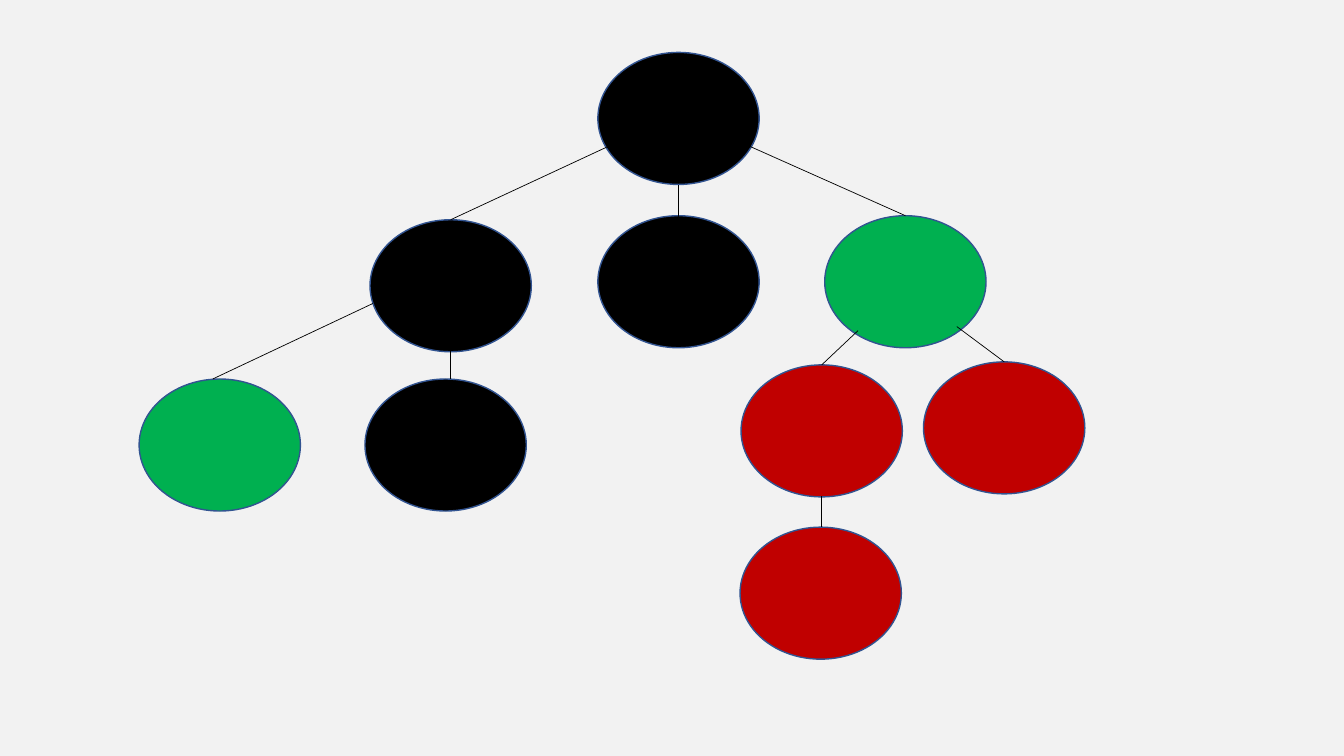
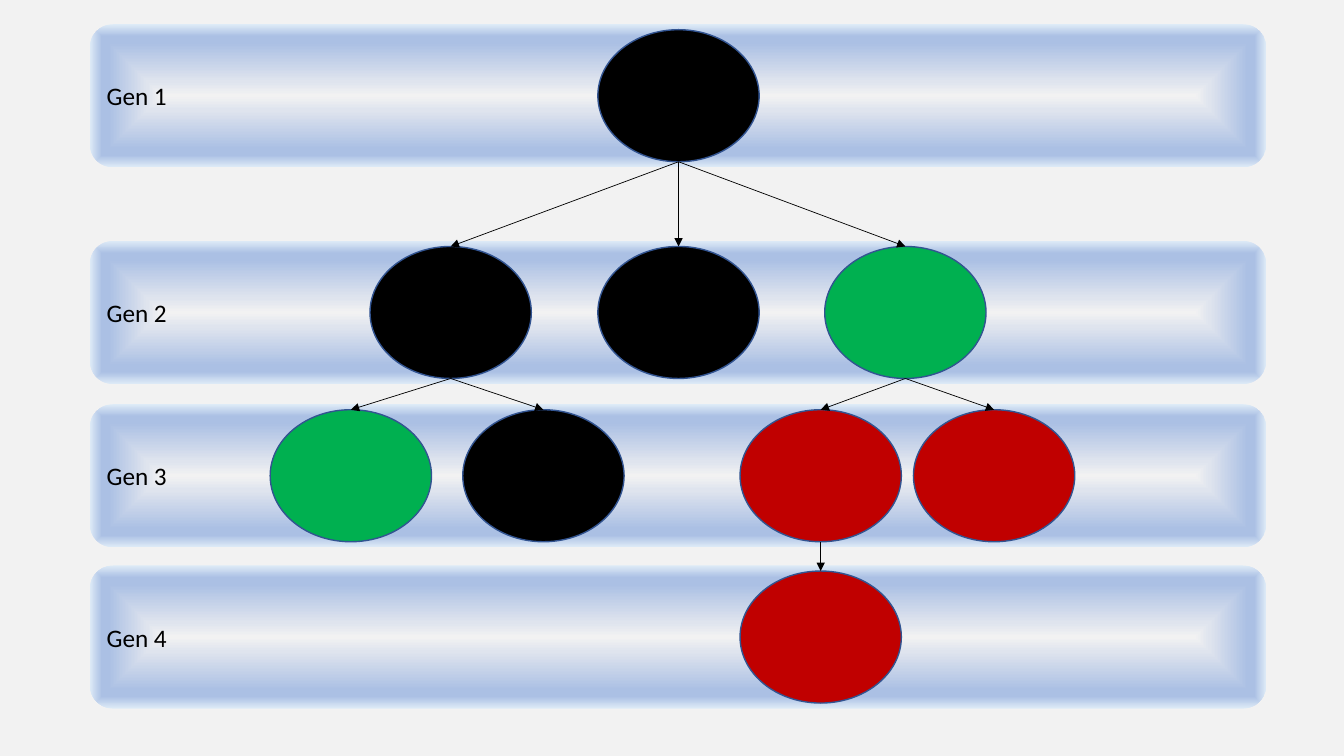
from lxml.etree import SubElement
from pptx import Presentation
from pptx.dml.color import RGBColor
from pptx.enum.shapes import MSO_CONNECTOR, MSO_SHAPE
from pptx.enum.text import MSO_ANCHOR, PP_ALIGN
from pptx.oxml.ns import qn
from pptx.util import Inches, Pt

OVAL = MSO_SHAPE.OVAL
ROUND = MSO_SHAPE.ROUNDED_RECTANGLE
LINE = MSO_CONNECTOR.STRAIGHT
LEFT = PP_ALIGN.LEFT
MIDDLE = MSO_ANCHOR.MIDDLE

BLACK, GREEN, RED = "000000", "00B050", "C00000"
EDGE, PAPER = "325491", "F2F2F2"
STOPS = [(0, PAPER), (20, "DFE4EE"), (74, "ABC0E4"), (83, "ABC0E4"), (100, "DEEBF7")]
WIDE, HIGH = 1.6, 1.31
BLANK = 6


def color(code):
    return RGBColor.from_string(code)


def write(frame, text, size=18, font="Calibri", ink=BLACK, align=LEFT, anchor=MIDDLE):
    frame.word_wrap = True
    frame.vertical_anchor = anchor
    para = frame.paragraphs[0]
    para.alignment = align
    run = para.add_run()
    run.text = text
    run.font.size = Pt(size)
    run.font.name = font
    run.font.color.rgb = color(ink)


class Deck:
    """Hold the shared style and the current slide."""

    def __init__(self):
        self.show = Presentation()
        self.show.slide_width = Inches(13.33)
        self.show.slide_height = Inches(7.5)
        fill = self.show.slide_master.background.fill
        fill.solid()
        fill.fore_color.rgb = color(PAPER)

    def start(self):
        self.slide = self.show.slides.add_slide(self.show.slide_layouts[BLANK])

    def shape(self, kind, left, top, width, height, fill):
        item = self.slide.shapes.add_shape(
            kind, Inches(left), Inches(top), Inches(width), Inches(height))
        item.shadow.inherit = False
        item.fill.solid()
        item.fill.fore_color.rgb = color(fill)
        return item

    def node(self, left, top, fill):
        item = self.shape(OVAL, left, top, WIDE, HIGH, fill)
        item.line.color.rgb = color(EDGE)
        item.line.width = Pt(1)

    def band(self, top, text):
        item = self.shape(ROUND, 0.89, top, 11.67, 1.42, PAPER)
        item.line.fill.background()
        self.glow(item)
        write(item.text_frame, text)

    def glow(self, item):
        props = item.element.spPr
        grad = SubElement(props, qn("a:gradFill"), rotWithShape="1")
        stops = SubElement(grad, qn("a:gsLst"))
        for place, code in STOPS:
            stop = SubElement(stops, qn("a:gs"), pos=str(place * 1000))
            SubElement(stop, qn("a:srgbClr"), val=code)
        way = SubElement(grad, qn("a:path"))
        way.set("path", "shape")
        SubElement(way, qn("a:fillToRect"), {side: "50000" for side in "ltrb"})
        props.replace(props.find(qn("a:solidFill")), grad)

    def link(self, start, end, arrow=False):
        line = self.slide.shapes.add_connector(
            LINE, *[Inches(value) for value in (*start, *end)])
        line.line.color.rgb = color(BLACK)
        line.line.width = Pt(0.5)
        if arrow:
            SubElement(line.line._get_or_add_ln(), qn("a:tailEnd"), type="triangle")
        SubElement(line.element.spPr, qn("a:effectLst"))


deck = Deck()

deck.start()
tree = [
    (5.93, 0.52, BLACK),
    (3.67, 2.18, BLACK), (5.93, 2.14, BLACK), (8.18, 2.14, GREEN),
    (1.38, 3.76, GREEN), (3.62, 3.76, BLACK),
    (7.35, 3.62, RED), (9.16, 3.59, RED),
    (7.34, 5.23, RED),
]
for node in tree:
    deck.node(*node)
edges = [
    ((6.06, 1.44), (4.47, 2.18)),
    ((6.73, 1.84), (6.73, 2.15)),
    ((7.41, 1.44), (8.98, 2.14)),
    ((3.7, 3.01), (2.11, 3.76)),
    ((4.47, 3.45), (4.47, 3.76)),
    ((8.51, 3.28), (8.15, 3.62)),
    ((9.49, 3.24), (9.96, 3.59)),
    ((8.15, 4.92), (8.15, 5.23)),
]
for start, end in edges:
    deck.link(start, end)

deck.start()
tops = [0.24, 2.39, 4.01, 5.61]
for level, top in enumerate(tops, 1):
    deck.band(top, f"Gen {level}")
kin = [
    (5.93, 0, BLACK, None),
    (3.67, 1, BLACK, 0), (5.93, 1, BLACK, 0), (8.18, 1, GREEN, 0),
    (2.68, 2, GREEN, 1), (4.59, 2, BLACK, 1),
    (7.34, 2, RED, 3), (9.06, 2, RED, 3),
    (7.34, 3, RED, 6),
]
inset = (1.42 - HIGH) / 2
for left, level, fill, parent in kin:
    deck.node(left, tops[level] + inset, fill)
for left, level, fill, parent in kin:
    if parent is not None:
        above, row = kin[parent][:2]
        deck.link((above + WIDE / 2, tops[row] + inset + HIGH),
                  (left + WIDE / 2, tops[level] + inset), arrow=True)

deck.show.save("out.pptx")
